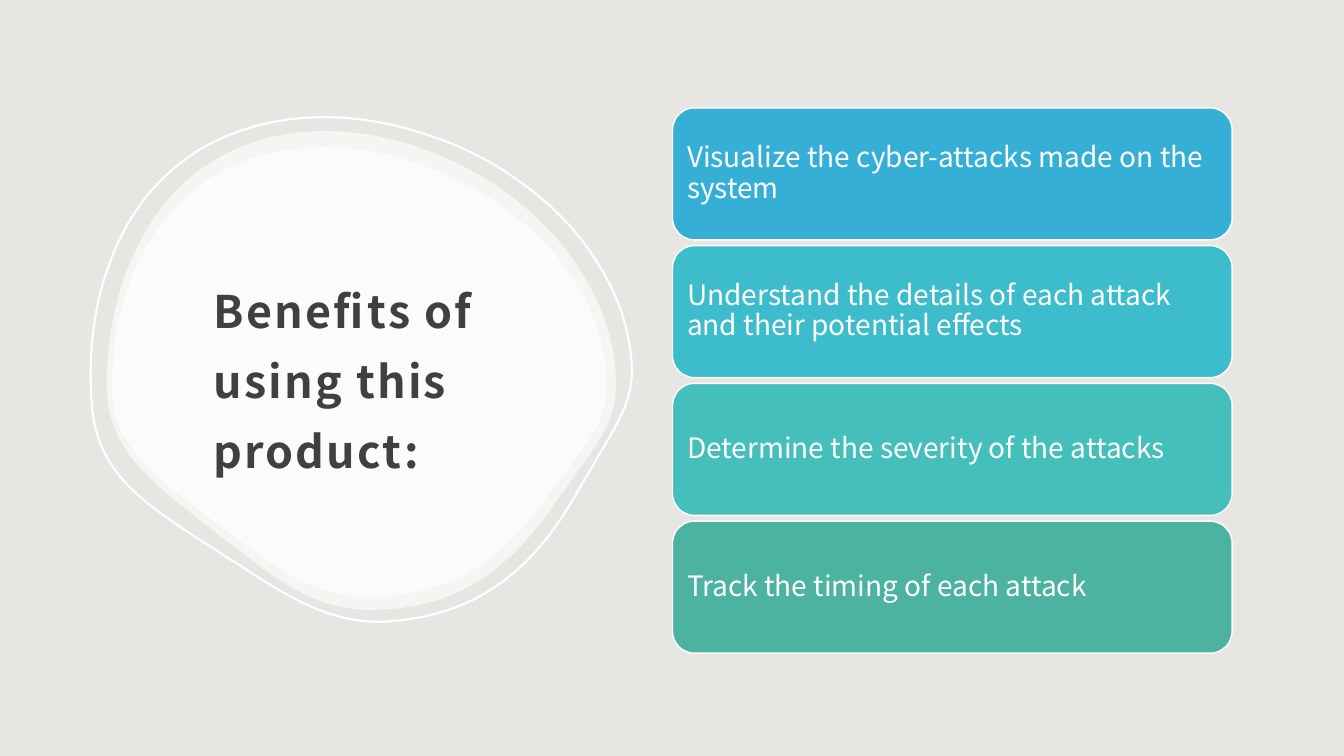
import pptx
import pptx.dml.color
import pptx.enum.shapes
import pptx.enum.text
import pptx.oxml
import pptx.oxml.ns
import pptx.util
from pptx.dml.color import RGBColor
from pptx.util import Inches

BACKGROUND = RGBColor(0xE8, 0xE6, 0xE2)
WHITE = RGBColor(0xFF, 0xFF, 0xFF)
TITLE_GREY = RGBColor(0x40, 0x40, 0x40)
FONT = "Noto Sans CJK JP"

BENEFITS = [
    ("Visualize the cyber-attacks made on the system", RGBColor(0x36, 0xAF, 0xD7)),
    ("Understand the details of each attack and their potential effects", RGBColor(0x3D, 0xBC, 0xCB)),
    ("Determine the severity of the attacks", RGBColor(0x44, 0xBF, 0xBC)),
    ("Track the timing of each attack", RGBColor(0x4C, 0xB2, 0xA1)),
]
CARD_LEFT, CARD_WIDTH, CARD_HEIGHT = 6.67, 5.55, 1.31
FIRST_CARD_TOP, LAST_CARD_TOP = 1.07, 5.17
CARD_PITCH = (LAST_CARD_TOP - FIRST_CARD_TOP) / (len(BENEFITS) - 1)

PEBBLE_LEFT, PEBBLE_TOP = 1.06, 1.3
PEBBLE_WIDTH, PEBBLE_HEIGHT = 5.05, 4.75
PEBBLE_START = (3.22, 1.3)
PEBBLE_CURVES = [
    ((2.89, 1.3), (2.58, 1.37), (2.31, 1.49)),
    ((2.06, 1.61), (1.83, 1.78), (1.65, 2)),
    ((1.27, 2.46), (1.06, 3.1), (1.06, 3.82)),
    ((1.06, 4.1), (1.14, 4.33), (1.32, 4.56)),
    ((1.51, 4.8), (1.8, 5.02), (2.1, 5.25)),
    ((2.15, 5.29), (2.21, 5.34), (2.27, 5.38)),
    ((2.78, 5.79), (3.16, 6.05), (3.67, 6.05)),
    ((4.45, 6.05), (5.01, 5.73), (5.52, 4.97)),
    ((5.59, 4.87), (5.66, 4.78), (5.72, 4.69)),
    ((5.98, 4.33), (6.11, 4.14), (6.11, 3.82)),
    ((6.11, 3.5), (6.03, 3.18), (5.87, 2.88)),
    ((5.72, 2.58), (5.5, 2.31), (5.22, 2.07)),
    ((4.95, 1.83), (4.62, 1.64), (4.28, 1.51)),
    ((3.93, 1.37), (3.57, 1.3), (3.22, 1.3)),
]


def curve_segment(points):
    """Return a cubic Bezier segment through two handles to an end point."""
    corners = "".join(f'<a:pt x="{x}" y="{y}"/>' for x, y in points)
    return pptx.oxml.parse_xml(
        f'<a:cubicBezTo {pptx.oxml.ns.nsdecls("a")}>{corners}</a:cubicBezTo>'
    )


def add_pebble(slide, left, top, width, height):
    """Draw the curved pebble outline stretched to the given frame."""
    def place(point):
        """Map a pebble point into the frame."""
        x, y = point
        return (
            Inches(left + (x - PEBBLE_LEFT) * width / PEBBLE_WIDTH),
            Inches(top + (y - PEBBLE_TOP) * height / PEBBLE_HEIGHT),
        )

    builder = slide.shapes.build_freeform(*place(PEBBLE_START))
    builder.add_line_segments([place(curve[-1]) for curve in PEBBLE_CURVES], close=True)
    pebble = builder.convert_to_shape()
    pebble.shadow.inherit = False
    sides = pebble._element.spPr.findall(".//" + pptx.oxml.ns.qn("a:lnTo"))
    for side, curve in zip(sides, PEBBLE_CURVES):
        local = [(x - pebble.left, y - pebble.top) for x, y in map(place, curve)]
        side.getparent().replace(side, curve_segment(local))
    return pebble


def add_filled_pebble(slide, left, top, width, height):
    """Draw a translucent white pebble without a line."""
    pebble = add_pebble(slide, left, top, width, height)
    pebble.fill.solid()
    pebble.fill.fore_color.rgb = WHITE
    pebble.line.fill.background()
    color = pebble._element.spPr.find(".//" + pptx.oxml.ns.qn("a:srgbClr"))
    color.append(pptx.oxml.parse_xml(
        f'<a:alpha {pptx.oxml.ns.nsdecls("a")} val="60000"/>'
    ))


def add_pebble_ring(slide, left, top, width, height, rotation):
    """Draw a tilted white pebble outline."""
    ring = add_pebble(slide, left, top, width, height)
    ring.fill.background()
    ring.line.color.rgb = WHITE
    ring.line.width = pptx.util.Pt(1.5)
    ring.rotation = rotation


def write_text(shape, text, size, color, line_spacing, insets):
    """Fill a shape with one left-aligned, vertically centred paragraph."""
    frame = shape.text_frame
    frame.word_wrap = True
    frame.vertical_anchor = pptx.enum.text.MSO_ANCHOR.MIDDLE
    frame.margin_left, frame.margin_top, frame.margin_right, frame.margin_bottom = map(Inches, insets)
    frame.text = text
    paragraph = frame.paragraphs[0]
    paragraph.alignment = pptx.enum.text.PP_ALIGN.LEFT
    paragraph.line_spacing = line_spacing
    font = paragraph.runs[0].font
    font.name = FONT
    font.size = pptx.util.Pt(size)
    font.color.rgb = color
    return paragraph


def add_title(slide, text):
    """Place the bold, letter-spaced title on the pebble."""
    title = slide.shapes.add_textbox(Inches(2), Inches(2.08), Inches(3.62), Inches(3.21))
    paragraph = write_text(title, text, 32, TITLE_GREY, 1.3, (0.12, 0.12, 0.12, 0.1))
    font = paragraph.runs[0].font
    font.bold = True
    font._element.set("spc", "150")


def add_benefit_card(slide, top, text, color):
    """Draw one rounded card with its benefit."""
    card = slide.shapes.add_shape(
        pptx.enum.shapes.MSO_SHAPE.ROUNDED_RECTANGLE,
        Inches(CARD_LEFT), Inches(top), Inches(CARD_WIDTH), Inches(CARD_HEIGHT),
    )
    card.shadow.inherit = False
    card.fill.solid()
    card.fill.fore_color.rgb = color
    card.line.color.rgb = WHITE
    card.line.width = pptx.util.Pt(1)
    paragraph = write_text(card, text, 20, WHITE, 0.9, (0.08,) * 4)
    paragraph.space_after = pptx.util.Pt(7)


def main():
    """Build the benefits slide and save it."""
    deck = pptx.Presentation()
    deck.slide_width, deck.slide_height = Inches(13.33), Inches(7.5)
    slide = deck.slides.add_slide(deck.slide_layouts[6])
    slide.background.fill.solid()
    slide.background.fill.fore_color.rgb = BACKGROUND

    add_filled_pebble(slide, PEBBLE_LEFT, PEBBLE_TOP, PEBBLE_WIDTH, PEBBLE_HEIGHT)
    add_filled_pebble(slide, 1.11, 1.46, 4.91, 4.46)
    add_pebble_ring(slide, 0.89, 1.13, 5.37, 5.05, rotation=355)
    add_title(slide, "Benefits of using this product:")
    for index, (benefit, color) in enumerate(BENEFITS):
        add_benefit_card(slide, FIRST_CARD_TOP + index * CARD_PITCH, benefit, color)

    deck.save("out.pptx")


if __name__ == "__main__":
    main()
